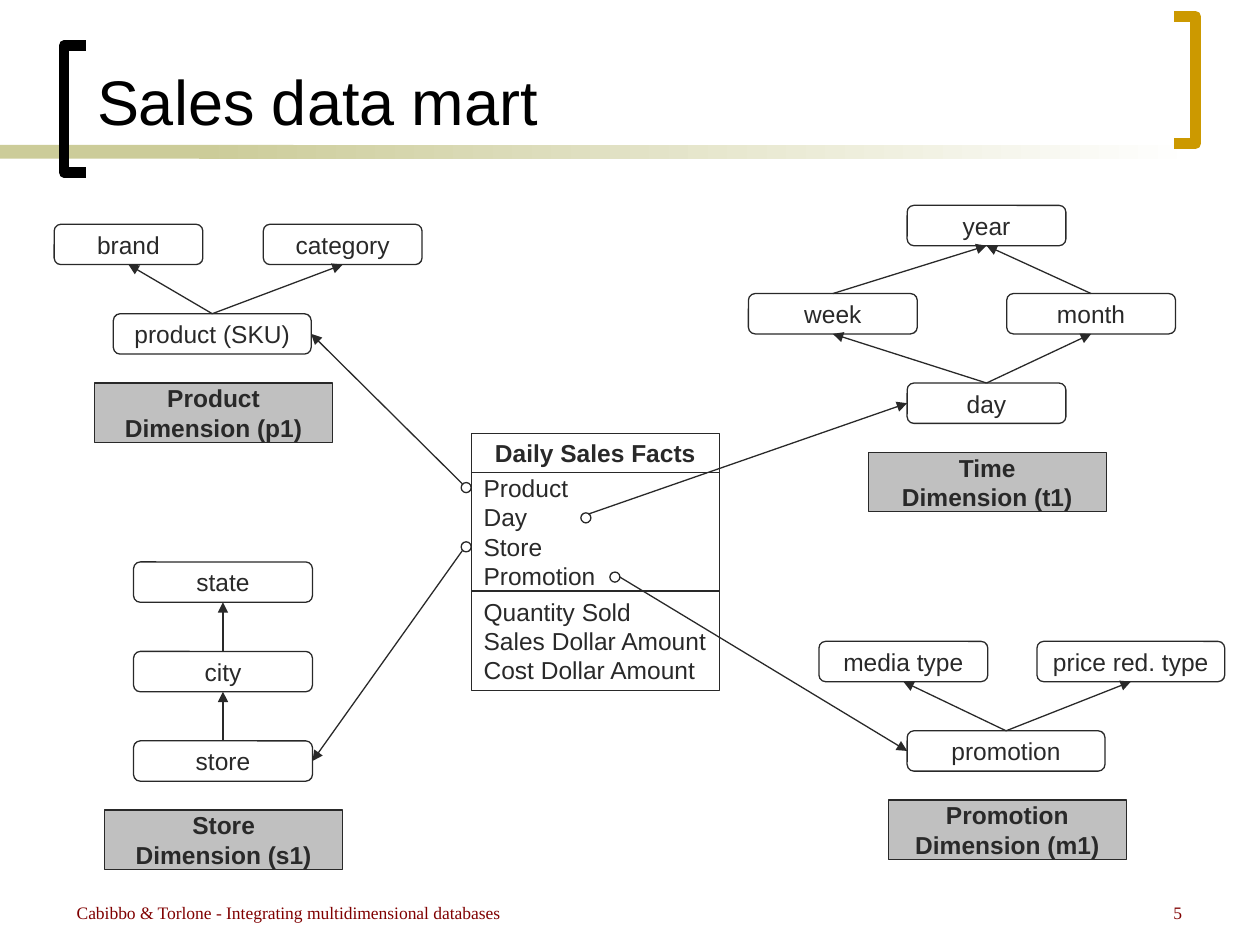
from lxml import etree
from pptx import Presentation
from pptx.dml.color import RGBColor as Rgb
from pptx.enum.shapes import MSO_CONNECTOR as Conn, MSO_SHAPE as Shape
from pptx.enum.text import MSO_ANCHOR as Anchor, PP_ALIGN as Align
from pptx.oxml.ns import qn
from pptx.util import Inches, Pt

COLORS = {"ink": "292929", "black": "000000", "gray": "C0C0C0", "gold": "CC9900",
          "olive": "CCCC99", "white": "FFFFFF", "maroon": "800000"}
TOP, LEFT, BOTTOM, RIGHT = range(4)


def hue(name):
    return Rgb.from_string(COLORS[name])


class Deck:
    body = {"name": "Arial", "size": Pt(14), "bold": False}
    head = {**body, "bold": True}
    title = {"name": "Arial", "size": Pt(36), "bold": False}
    foot = {"name": "Times New Roman", "size": Pt(10), "bold": False}

    def __init__(self):
        self.prs = Presentation()
        self.prs.slide_width, self.prs.slide_height = Inches(10), Inches(7.5)
        self.slide = self.prs.slides.add_slide(self.prs.slide_layouts[5])
        self.shapes = self.slide.shapes

    def letter(self, shape, lines, style, color, align, anchor, wrap):
        frame = shape.text_frame
        frame.word_wrap, frame.vertical_anchor = wrap, anchor
        frame.text = "\n".join(lines)
        for para in frame.paragraphs:
            para.alignment = align
            for key, value in style.items():
                setattr(para.font, key, value)
            para.font.color.rgb = hue(color)

    def heading(self, text, *area):
        shape = self.shapes.title
        for key, value in zip(("left", "top", "width", "height"), area):
            setattr(shape, key, Inches(value))
        self.letter(shape, [text], self.title, "black", Align.LEFT, Anchor.BOTTOM, True)

    def stroke(self, item, color="ink", width=0.75):
        item.line.color.rgb = hue(color)
        item.line.width = Pt(width)

    def shape(self, kind, area, fill=None):
        shape = self.shapes.add_shape(kind, *map(Inches, area))
        shape.shadow.inherit = False
        if fill:
            shape.fill.solid()
            shape.fill.fore_color.rgb = hue(fill)
        else:
            shape.fill.background()
        self.stroke(shape)
        return shape

    def box(self, lines, area, fill=None, kind=Shape.RECTANGLE, style=body, align=Align.CENTER):
        shape = self.shape(kind, area, fill)
        self.letter(shape, lines, style, "ink", align, Anchor.MIDDLE, False)
        return shape

    def level(self, text, left, top, width):
        return self.box([text], (left, top, width, 0.32), kind=Shape.ROUNDED_RECTANGLE)

    def label(self, name, code, left, top):
        self.box([name, f"Dimension ({code})"], (left, top, 1.89, 0.47), "gray", style=self.head)

    def dot(self, left, top):
        self.shape(Shape.OVAL, (left, top, 0.08, 0.08))

    def link(self, start, end, site):
        """Draw an arrow from a point, or from the top of a box, to a side of a box."""
        loose = isinstance(start, tuple)
        x, y = map(Inches, start) if loose else (start.left, start.top)
        line = self.shapes.add_connector(Conn.STRAIGHT, x, y, end.left, end.top)
        if not loose:
            line.begin_connect(start, TOP)
        line.end_connect(end, site)
        self.stroke(line)
        props = line._element.spPr
        etree.SubElement(props.find(qn("a:ln")), qn("a:tailEnd"), type="triangle")
        etree.SubElement(props, qn("a:effectLst"))

    def band(self, *area, fade=False):
        shape = self.shape(Shape.RECTANGLE, area, "olive")
        shape.line.fill.background()
        if fade:
            shape.fill.gradient()
            shape.fill.gradient_angle = 0
            for stop, name in zip(shape.fill.gradient_stops, ("olive", "white")):
                stop.color.rgb = hue(name)

    def bracket(self, tip, spine, top, bottom, color):
        points = [(Inches(x), Inches(y)) for x, y in
                  ((tip, bottom), (spine, bottom), (spine, top), (tip, top))]
        draft = self.shapes.build_freeform(*points[0])
        draft.add_line_segments(points[1:], close=False)
        shape = draft.convert_to_shape()
        shape.shadow.inherit = False
        shape.fill.background()
        self.stroke(shape, color, 6)

    def note(self, text, left, width, align):
        shape = self.shapes.add_textbox(*map(Inches, (left, 7.11, width, 0.26)))
        self.letter(shape, [text], self.foot, "maroon", align, Anchor.TOP, True)


def main():
    deck = Deck()

    # Title and ornaments
    deck.band(0, 1.15, 2.33, 0.11)
    deck.band(1.58, 1.15, 7.92, 0.11, fade=True)
    deck.bracket(0.68, 0.51, 0.36, 1.37, "black")
    deck.bracket(9.32, 9.49, 0.13, 1.14, "gold")
    deck.heading("Sales data mart", 0.67, 0.35, 8.66, 0.8)

    # Fact table
    deck.box(["Daily Sales Facts"], (3.74, 3.44, 1.97, 0.31), style=deck.head)
    deck.box(["Product", "Day", "Store", "Promotion"], (3.74, 3.75, 1.97, 0.94), align=Align.LEFT)
    deck.box(["Quantity Sold", "Sales Dollar Amount", "Cost Dollar Amount"],
             (3.74, 4.69, 1.97, 0.79), align=Align.LEFT)

    # Dimension labels
    for label in (("Product", "p1", 0.75, 3.04), ("Time", "t1", 6.89, 3.59),
                  ("Promotion", "m1", 7.05, 6.35), ("Store", "s1", 0.83, 6.43)):
        deck.label(*label)

    # Dimension levels
    levels = {text: deck.level(text, *place) for text, *place in (
        ("product (SKU)", 0.9, 2.49, 1.57), ("category", 2.09, 1.78, 1.26),
        ("brand", 0.43, 1.78, 1.18),
        ("day", 7.2, 3.04, 1.26), ("month", 7.99, 2.33, 1.34),
        ("year", 7.2, 1.63, 1.26), ("week", 5.94, 2.33, 1.34),
        ("promotion", 7.2, 5.8, 1.57), ("price red. type", 8.23, 5.09, 1.49),
        ("media type", 6.5, 5.09, 1.34),
        ("store", 1.06, 5.88, 1.42), ("city", 1.06, 5.17, 1.42), ("state", 1.06, 4.46, 1.42))}

    # Roll-up arrows
    for low, high in (("product (SKU)", "category"), ("product (SKU)", "brand"),
                      ("store", "city"), ("city", "state"),
                      ("day", "week"), ("day", "month"), ("month", "year"), ("week", "year"),
                      ("promotion", "price red. type"), ("promotion", "media type")):
        deck.link(levels[low], levels[high], BOTTOM)

    # Links from the facts to the base levels
    for dot, start, name, site in (
            ((3.66, 3.83), (3.67, 3.84), "product (SKU)", RIGHT),
            ((3.66, 4.3), (3.67, 4.37), "store", RIGHT),
            ((4.61, 4.07), (4.67, 4.08), "day", LEFT),
            ((4.84, 4.54), (4.92, 4.58), "promotion", LEFT)):
        deck.dot(*dot)
        deck.link(start, levels[name], site)

    # Footer
    deck.note("Cabibbo & Torlone - Integrating multidimensional databases", 0.51, 6.69, Align.LEFT)
    deck.note("5", 7.4, 2.08, Align.RIGHT)

    deck.prs.save("out.pptx")


if __name__ == "__main__":
    main()
